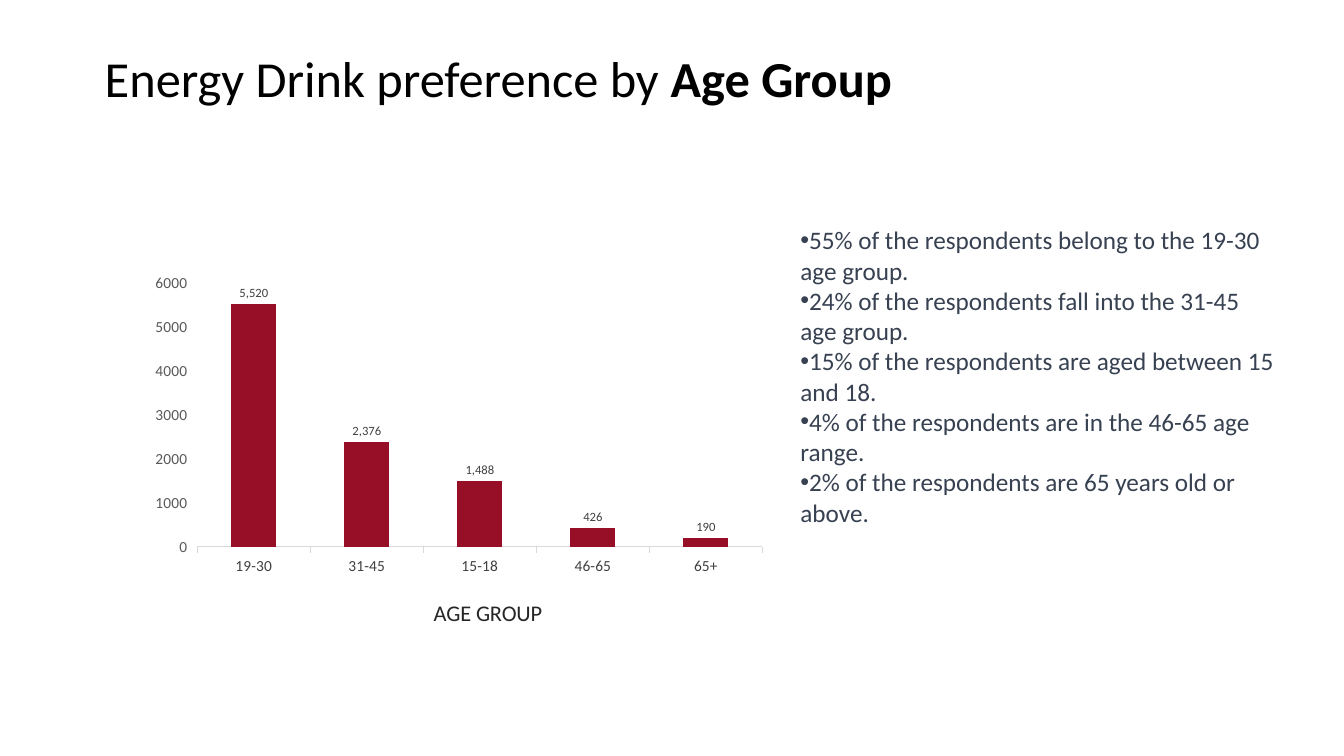
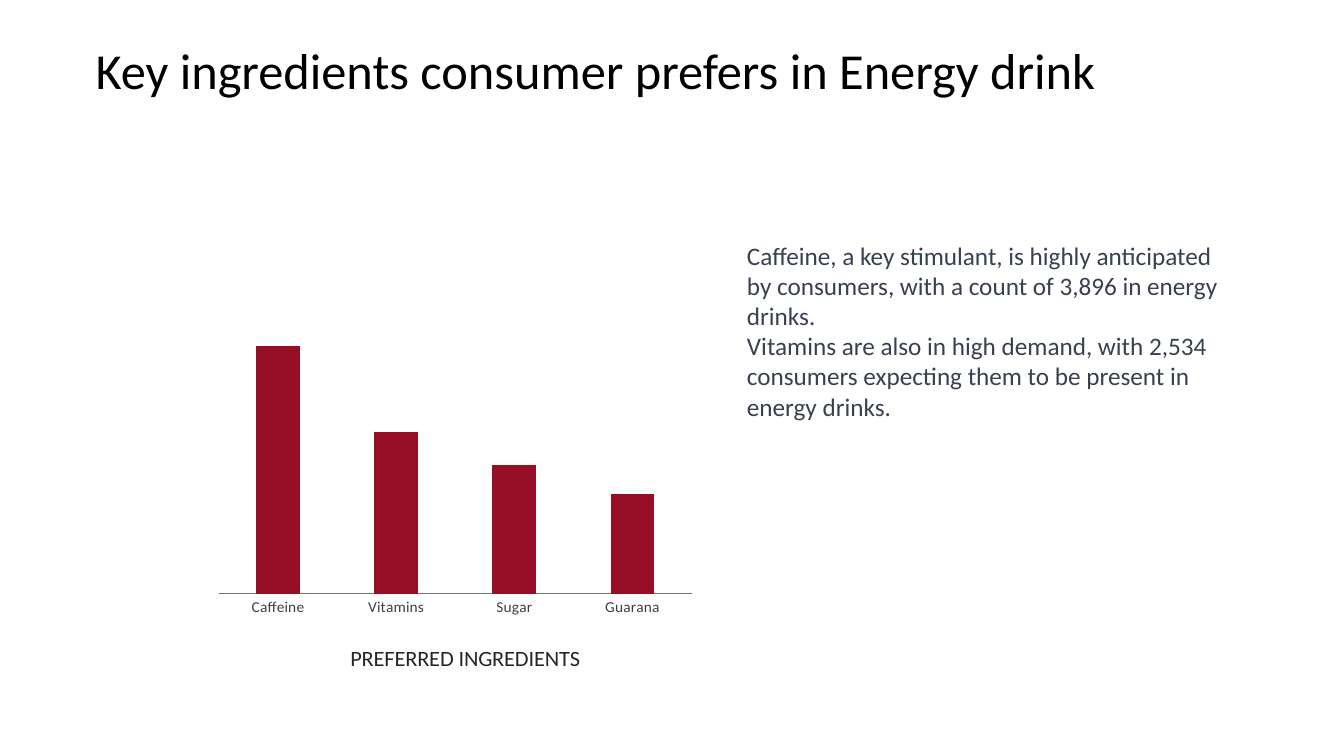
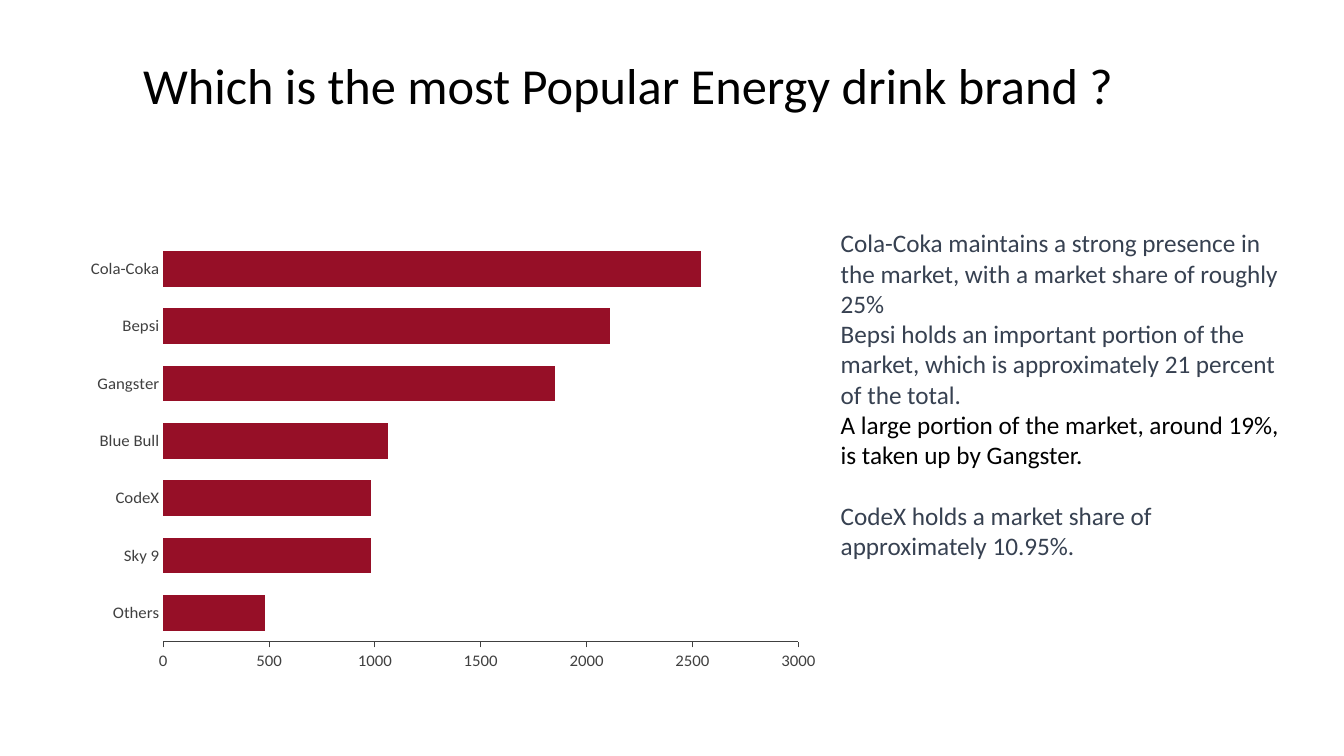
from dataclasses import dataclass

from lxml.etree import SubElement
from pptx import Presentation
from pptx.chart.data import CategoryChartData
from pptx.dml.color import RGBColor
from pptx.enum.chart import XL_AXIS_CROSSES as CROSSES
from pptx.enum.chart import XL_CHART_TYPE as CHART
from pptx.enum.chart import XL_LABEL_POSITION as LABEL
from pptx.enum.chart import XL_TICK_MARK as TICK
from pptx.enum.text import MSO_AUTO_SIZE as AUTO_SIZE
from pptx.oxml.ns import qn
from pptx.util import Inches, Pt


@dataclass(frozen=True)
class Theme:
    """Colours, font and type sizes shared by the slides."""
    font: str = "Calibri"
    black: str = "000000"
    body: str = "374151"
    bar: str = "960F27"
    axis_title: str = "262626"
    dark: str = "404040"
    mid: str = "595959"
    baseline: str = "767171"
    pale: str = "D9D9D9"
    title_size: int = 36
    body_size: int = 18
    axis_title_size: int = 16
    wide_tick_size: int = 12
    tick_size: int = 11
    chart_size: int = 10
    label_size: int = 9


T = Theme()


def style_font(font, size, color, bold=False):
    """Apply the shared typeface with a size and colour."""
    font.name = T.font
    font.size = Pt(size)
    font.bold = bold
    font.color.rgb = RGBColor.from_string(color)


def add_text_box(slide, box):
    """Add a wrapping text box and return its text frame."""
    tf = slide.shapes.add_textbox(*map(Inches, box)).text_frame
    tf.word_wrap = True
    tf.auto_size = AUTO_SIZE.SHAPE_TO_FIT_TEXT
    return tf


def add_title(slide, box, text, strong=""):
    """Add the slide title, with an optional bold ending."""
    p = add_text_box(slide, box).paragraphs[0]
    for part, bold in ((text, False), (strong, True)):
        if part:
            r = p.add_run()
            r.text = part
            style_font(r.font, T.title_size, T.black, bold)


def add_bullet(p):
    """Put a round bullet directly before a paragraph."""
    pPr = p._p.get_or_add_pPr()
    SubElement(pPr, qn("a:buFont")).set("typeface", "Arial")
    SubElement(pPr, qn("a:buChar")).set("char", "•")


def add_findings(slide, box, findings, bullets=False):
    """Add one paragraph per finding and return the paragraphs."""
    tf = add_text_box(slide, box)
    for i, finding in enumerate(findings):
        p = tf.add_paragraph() if i else tf.paragraphs[0]
        p.text = finding
        style_font(p.runs[0].font, T.body_size, T.body)
        if bullets:
            add_bullet(p)
    return tf.paragraphs


def set_layout(parent, index, **settings):
    """Give a plot area or axis title a fixed place in its chart."""
    for old in parent.findall(qn("c:layout")):
        parent.remove(old)
    layout = parent.makeelement(qn("c:layout"))
    parent.insert(index, layout)
    manual = SubElement(layout, qn("c:manualLayout"))
    for name, value in settings.items():
        SubElement(manual, qn(f"c:{name}")).set("val", str(value))


def add_bar_chart(slide, box, kind, data, gap, plot_box, overlap=0):
    """Add a single-series bar chart without legend or gridlines."""
    chart_data = CategoryChartData()
    chart_data.categories = list(data)
    chart_data.add_series("Series 1", list(data.values()))
    chart = slide.shapes.add_chart(kind, *map(Inches, box), chart_data).chart
    chart.has_legend = False
    chart.has_title = False
    style_font(chart.font, T.chart_size, T.black)
    chart.value_axis.has_major_gridlines = False
    plot = chart.plots[0]
    plot.gap_width = gap
    plot.overlap = overlap
    plot.vary_by_categories = False
    fill = plot.series[0].format.fill
    fill.solid()
    fill.fore_color.rgb = RGBColor.from_string(T.bar)
    x, y, w, h = plot_box
    set_layout(chart._chartSpace.chart.plotArea, 0, layoutTarget="inner",
               xMode="edge", yMode="edge", x=x, y=y, w=w, h=h)
    return chart


def style_axis(axis, size, color, line=None, tick=TICK.NONE):
    """Set an axis's labels, line and tick marks."""
    style_font(axis.tick_labels.font, size, color)
    axis.major_tick_mark = tick
    axis.minor_tick_mark = TICK.NONE
    if line:
        axis.format.line.width = Pt(0.75)
        axis.format.line.color.rgb = RGBColor.from_string(line)
    else:
        axis.format.line.fill.background()


def set_scale(axis, maximum, step):
    """Run a value axis from zero to a maximum."""
    axis.minimum_scale = 0
    axis.maximum_scale = maximum
    axis.major_unit = step


def add_axis_title(axis, text, x, y):
    """Title an axis at a given place in its chart."""
    title = axis.axis_title
    title.text_frame.text = text
    style_font(title.text_frame.paragraphs[0].runs[0].font,
               T.axis_title_size, T.axis_title)
    set_layout(title._element, 1, xMode="edge", yMode="edge", x=x, y=y)


def add_value_labels(plot):
    """Show each value beyond the end of its bar."""
    plot.has_data_labels = True
    labels = plot.data_labels
    labels.show_value = True
    labels.position = LABEL.OUTSIDE_END
    labels.number_format = "#,##0"
    labels.number_format_is_linked = False
    style_font(labels.font, T.label_size, T.dark)


def build_age_slide(slide):
    """Respondents by age group."""
    ages = {"19-30": 5520, "31-45": 2376, "15-18": 1488, "46-65": 426, "65+": 190}
    chart = add_bar_chart(slide, (1.12, 2.4, 6.98, 3.92), CHART.COLUMN_CLUSTERED,
                          ages, 150, (0.12, 0.104, 0.803, 0.668), overlap=-27)
    style_axis(chart.category_axis, T.tick_size, T.dark, T.pale, TICK.OUTSIDE)
    style_axis(chart.value_axis, T.tick_size, T.mid, tick=TICK.OUTSIDE)
    set_scale(chart.value_axis, 6000, 1000)
    add_axis_title(chart.category_axis, "AGE GROUP", 0.45, 0.89)
    add_value_labels(chart.plots[0])
    add_title(slide, (0.94, 0.42, 10.19, 0.71),
              "Energy Drink preference by ", "Age Group")
    add_findings(slide, (7.84, 2.18, 4.96, 3.13), [
        "55% of the respondents belong to the 19-30 age group.",
        "24% of the respondents fall into the 31-45 age group.",
        "15% of the respondents are aged between 15 and 18.",
        "4% of the respondents are in the 46-65 age range.",
        "2% of the respondents are 65 years old or above.",
    ], bullets=True)


def build_ingredients_slide(slide):
    """Preferred ingredients."""
    ingredients = {"Caffeine": 100, "Vitamins": 65, "Sugar": 52, "Guarana": 40}
    chart = add_bar_chart(slide, (1.06, 2.73, 6.25, 4.01), CHART.COLUMN_CLUSTERED,
                          ingredients, 170, (0.178, 0.084, 0.75, 0.721), overlap=-27)
    style_axis(chart.category_axis, T.tick_size, T.dark, T.baseline)
    set_scale(chart.value_axis, 115, 13)
    chart.value_axis.visible = False
    add_axis_title(chart.category_axis, "PREFERRED INGREDIENTS", 0.38, 0.92)
    add_findings(slide, (7.31, 2.33, 5.09, 1.92), [
        "Caffeine, a key stimulant, is highly anticipated by consumers, "
        "with a count of 3,896 in energy drinks.",
        "Vitamins are also in high demand, with 2,534 consumers expecting "
        "them to be present in energy drinks.",
    ])
    add_title(slide, (0.85, 0.34, 10.24, 0.71),
              "Key ingredients consumer prefers in Energy drink")


def build_brands_slide(slide):
    """Popularity of the brands."""
    brands = {"Others": 480, "Sky 9": 980, "CodeX": 980, "Blue Bull": 1060,
              "Gangster": 1850, "Bepsi": 2110, "Cola-Coka": 2540}
    chart = add_bar_chart(slide, (0.75, 2.01, 7.49, 4.64), CHART.BAR_CLUSTERED,
                          brands, 61, (0.116, 0.084, 0.841, 0.896))
    style_axis(chart.category_axis, T.wide_tick_size, T.dark)
    style_axis(chart.value_axis, T.wide_tick_size, T.dark, T.dark, TICK.OUTSIDE)
    set_scale(chart.value_axis, 3000, 500)
    chart.category_axis.crosses = CROSSES.MAXIMUM
    findings = add_findings(slide, (8.24, 2.21, 4.6, 3.43), [
        "Cola-Coka maintains a strong presence in the market, "
        "with a market share of roughly 25%",
        "Bepsi holds an important portion of the market, "
        "which is approximately 21 percent of the total.",
        "A large portion of the market, around 19%, is taken up by Gangster.",
        "CodeX holds a market share of approximately 10.95%.",
    ])
    gangster, codex = findings[2:]
    style_font(gangster.runs[0].font, T.body_size, T.black)
    codex.space_before = Pt(22)
    add_title(slide, (1.32, 0.49, 10.69, 0.71),
              "Which is the most Popular Energy drink brand ?")


def main():
    """Build and save the presentation."""
    prs = Presentation()
    prs.slide_width, prs.slide_height = Inches(13.33), Inches(7.5)
    for build in (build_age_slide, build_ingredients_slide, build_brands_slide):
        build(prs.slides.add_slide(prs.slide_layouts[6]))
    prs.save("out.pptx")


main()
